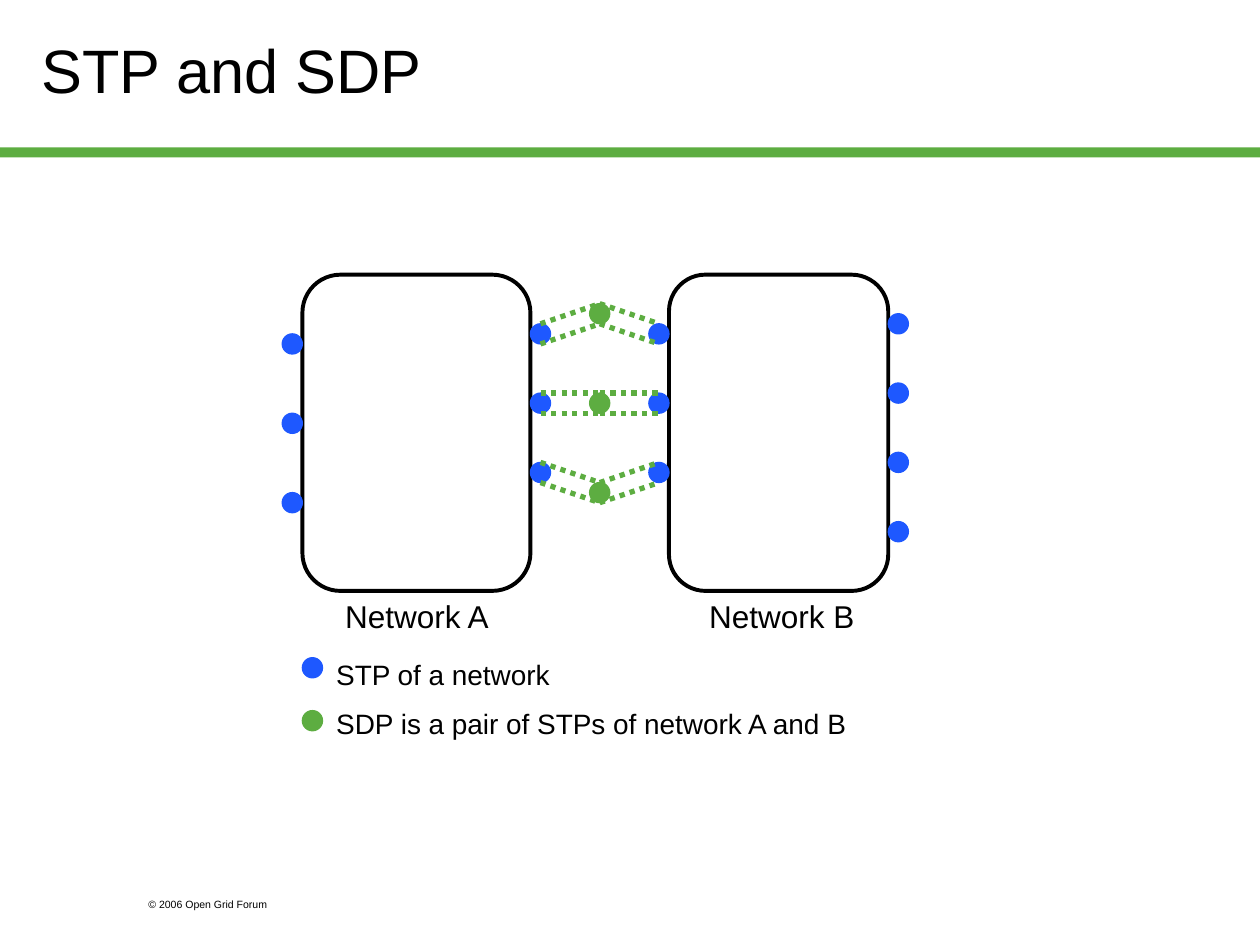
from pptx import Presentation
from pptx.dml.color import RGBColor
from pptx.enum.dml import MSO_LINE as Dash
from pptx.enum.shapes import MSO_CONNECTOR as Link, MSO_SHAPE as Kind
from pptx.enum.text import MSO_ANCHOR as Anchor
from pptx.oxml.ns import qn
from pptx.util import Inches, Pt

BLACK = RGBColor(0, 0, 0)
GREEN = RGBColor(0x5D, 0xAD, 0x41)
BLUE = RGBColor(0x1E, 0x58, 0xFF)

DOT = 0.16
TOP, HIGH = 2.18, 2.51
NETS = [
    ("Network B", 5.31, 1.74, 5.53),
    ("Network A", 2.4, 1.81, 2.64),
]
OUTER = [
    (2.24, 2.65, 0.63, 3),
    (7.05, 2.49, 0.55, 4),
]
LEFT, MID, RIGHT = 4.21, 4.68, 5.15
PAIRS = [(2.57, 2.41), (3.12, 3.12), (3.67, 3.83)]
LEGEND = [
    ("STP of a network", BLUE, 5.22, 5.17, 1.9),
    ("SDP is a pair of STPs of network A and B", GREEN, 5.64, 5.56, 4.28),
]

deck = Presentation()
deck.slide_width, deck.slide_height = Inches(10), Inches(7.5)
slide = deck.slides.add_slide(deck.slide_layouts[6])
shapes = slide.shapes


def text(words, x, y, w, h, size=18, wrap=False, anchor=Anchor.TOP):
    frame = shapes.add_textbox(*map(Inches, (x, y, w, h))).text_frame
    frame.word_wrap = wrap
    frame.vertical_anchor = anchor
    run = frame.paragraphs[0].add_run()
    run.text = words
    run.font.name = "Arial"
    run.font.size = Pt(size)
    run.font.color.rgb = BLACK


def shape(kind, x, y, w, h, fill=None, line=None, width=0.75):
    item = shapes.add_shape(kind, *map(Inches, (x, y, w, h)))
    item.shadow.inherit = False
    if fill is None:
        item.fill.background()
    else:
        item.fill.solid()
        item.fill.fore_color.rgb = fill
    if line is None:
        item.line.fill.background()
    else:
        item.line.color.rgb = line
        item.line.width = Pt(width)


def dot(x, y, color):
    shape(Kind.OVAL, x, y, DOT, DOT, fill=color, line=color)


def dotted(x1, y1, x2, y2):
    item = shapes.add_connector(Link.STRAIGHT, *map(Inches, (x1, y1, x2, y2)))
    item.line.color.rgb = GREEN
    item.line.width = Pt(3)
    item.line.dash_style = Dash.ROUND_DOT
    props = item._element.spPr
    props.append(props.makeelement(qn("a:effectLst"), {}))


shape(Kind.RECTANGLE, 0, 1.17, 10, 0.08, fill=GREEN)
text("© 2006 Open Grid Forum", 1.08, 7.08, 1.5, 0.2, size=6, wrap=True)
text("STP and SDP", 0.23, 0, 8.5, 1.09, size=35, wrap=True, anchor=Anchor.MIDDLE)

for name, x, w, label in NETS:
    shape(Kind.ROUNDED_RECTANGLE, x, TOP, w, HIGH, line=BLACK, width=2.25)
    text(name, label, 4.69, 1.35, 0.4)

for x, y, step, count in OUTER:
    for i in range(count):
        dot(x, y + i * step, BLUE)

for words, color, y, base, w in LEGEND:
    dot(2.4, y, color)
    text(words, 2.57, base, w, 0.37, size=16)

half = DOT / 2
for side, peak in PAIRS:
    dot(MID, peak, GREEN)
    dot(RIGHT, side, BLUE)
    dot(LEFT, side, BLUE)
    for drop in (0, DOT):
        dotted(MID + half, peak + drop, RIGHT + half, side + drop)
        dotted(LEFT + half, side + drop, MID + half, peak + drop)

deck.save("out.pptx")
